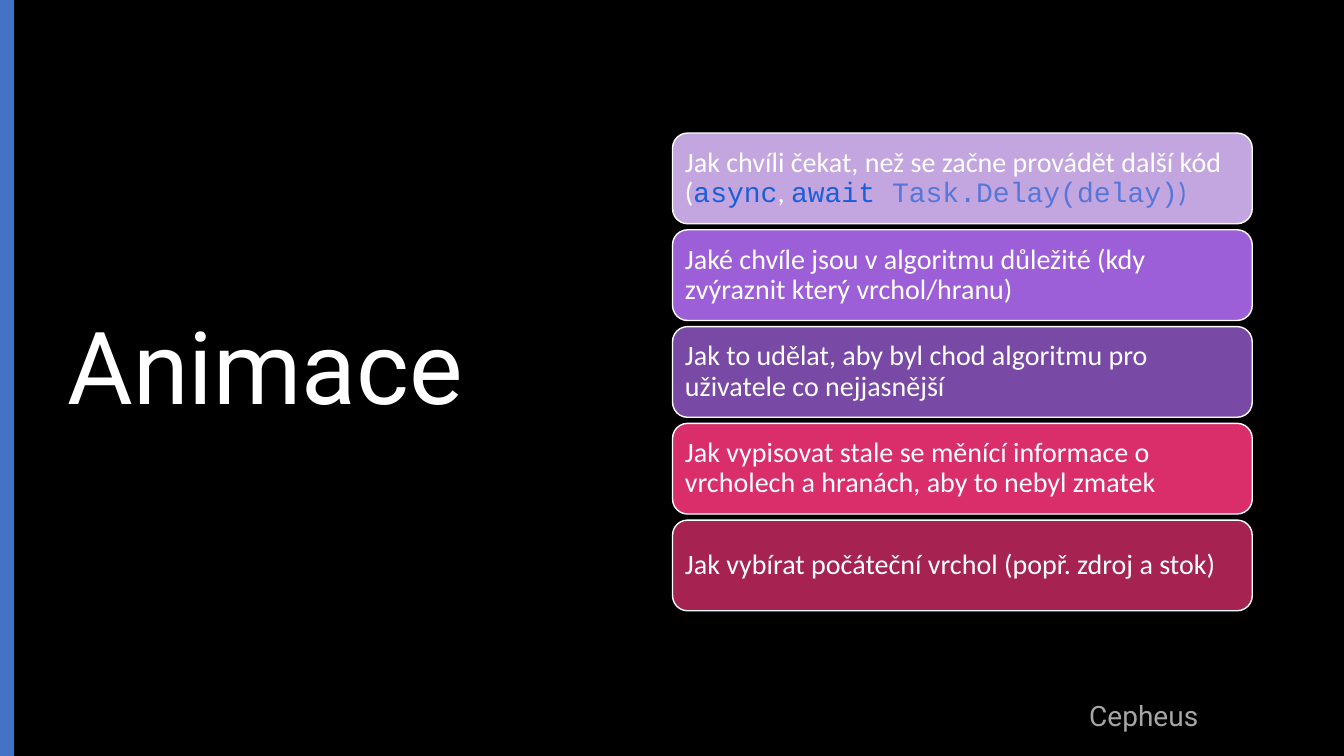
from pptx import Presentation
from pptx.dml.color import RGBColor
from pptx.enum.shapes import MSO_SHAPE as Shape
from pptx.enum.text import MSO_ANCHOR as Anchor, PP_ALIGN as Align
from pptx.util import Inches, Pt

WHITE, KEYWORD, CALL = "FFFFFF", "1B5FD8", "5577DA"
BODY, CODE, HEADING = "Calibri", "Courier New", "Roboto"


def color(hex_code):
    return RGBColor.from_string(hex_code)


def add_span(para, text, size, font, hex_code):
    span = para.add_run()
    span.text = text
    span.font.size = Pt(size)
    span.font.name = font
    span.font.color.rgb = color(hex_code)


deck = Presentation()
deck.slide_width, deck.slide_height = Inches(13.33), Inches(7.5)
page = deck.slides.add_slide(deck.slide_layouts[6])
page.background.fill.solid()
page.background.fill.fore_color.rgb = color("000000")

# Title
title = page.shapes.add_textbox(Inches(0.57), Inches(0.68), Inches(5.67), Inches(6.02))
title.text_frame.word_wrap = True
title.text_frame.vertical_anchor = Anchor.MIDDLE
para = title.text_frame.paragraphs[0]
para.line_spacing = 0.9
add_span(para, "Animace", 72, HEADING, WHITE)

# Accent bar on the left edge
bar = page.shapes.add_shape(Shape.RECTANGLE, 0, 0, Inches(0.14), deck.slide_height)
bar.shadow.inherit = False
bar.fill.solid()
bar.fill.fore_color.rgb = color("4472C4")
bar.line.fill.background()

# Footer
footer = page.shapes.add_textbox(Inches(10.53), Inches(6.88), Inches(1.63), Inches(0.44))
footer.text_frame.word_wrap = True
para = footer.text_frame.paragraphs[0]
para.alignment = Align.CENTER
para.space_after = Pt(6)
add_span(para, "Cepheus", 20, HEADING, "A6A6A6")

# Stack of question cards: fill, then lines of (text, font, colour) spans
cards = [
    ("C3A5DF", [
        [("Jak chvíli čekat, než se začne provádět další kód", BODY, WHITE)],
        [("(", BODY, WHITE), ("async", CODE, KEYWORD), (", ", BODY, WHITE),
         ("await ", CODE, KEYWORD), ("Task.Delay(delay)", CODE, CALL), (")", BODY, CALL)],
    ]),
    ("9D5FD8", [[("Jaké chvíle jsou v algoritmu důležité (kdy zvýraznit který vrchol/hranu)",
                  BODY, WHITE)]]),
    ("7949A6", [[("Jak to udělat, aby byl chod algoritmu pro uživatele co nejjasnější",
                  BODY, WHITE)]]),
    ("D92E69", [[("Jak vypisovat stale se měnící informace o vrcholech a hranách, "
                  "aby to nebyl zmatek", BODY, WHITE)]]),
    ("A62351", [[("Jak vybírat počáteční vrchol (popř. zdroj a stok)", BODY, WHITE)]]),
]
CARD_LEFT, CARD_TOP, CARD_WIDTH, CARD_HEIGHT, CARD_STEP = 6.67, 1.32, 5.75, 0.9, 0.96
for row, (fill, lines) in enumerate(cards):
    card = page.shapes.add_shape(
        Shape.ROUNDED_RECTANGLE, Inches(CARD_LEFT), Inches(CARD_TOP + row * CARD_STEP),
        Inches(CARD_WIDTH), Inches(CARD_HEIGHT))
    card.shadow.inherit = False
    card.fill.solid()
    card.fill.fore_color.rgb = color(fill)
    card.line.color.rgb = color(WHITE)
    card.line.width = Pt(1)
    frame = card.text_frame
    frame.word_wrap = True
    frame.vertical_anchor = Anchor.MIDDLE
    frame.margin_left = frame.margin_right = Inches(0.08)
    frame.margin_top = frame.margin_bottom = Inches(0.08)
    para = frame.paragraphs[0]
    para.alignment = Align.LEFT
    para.line_spacing = 0.9
    for number, line in enumerate(lines):
        if number:
            para.add_line_break()
        for text, font, hex_code in line:
            add_span(para, text, 20, font, hex_code)

deck.save("out.pptx")
